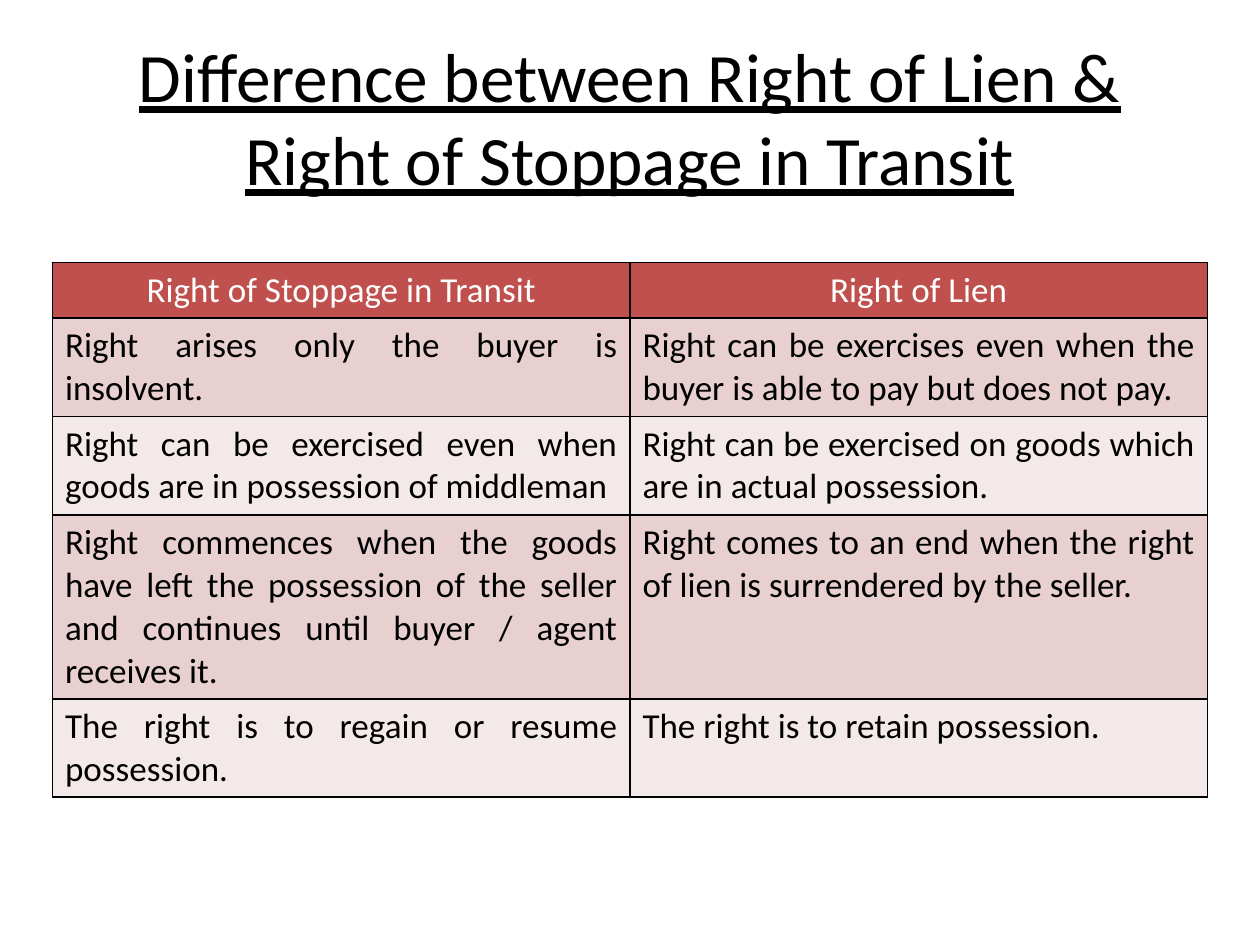
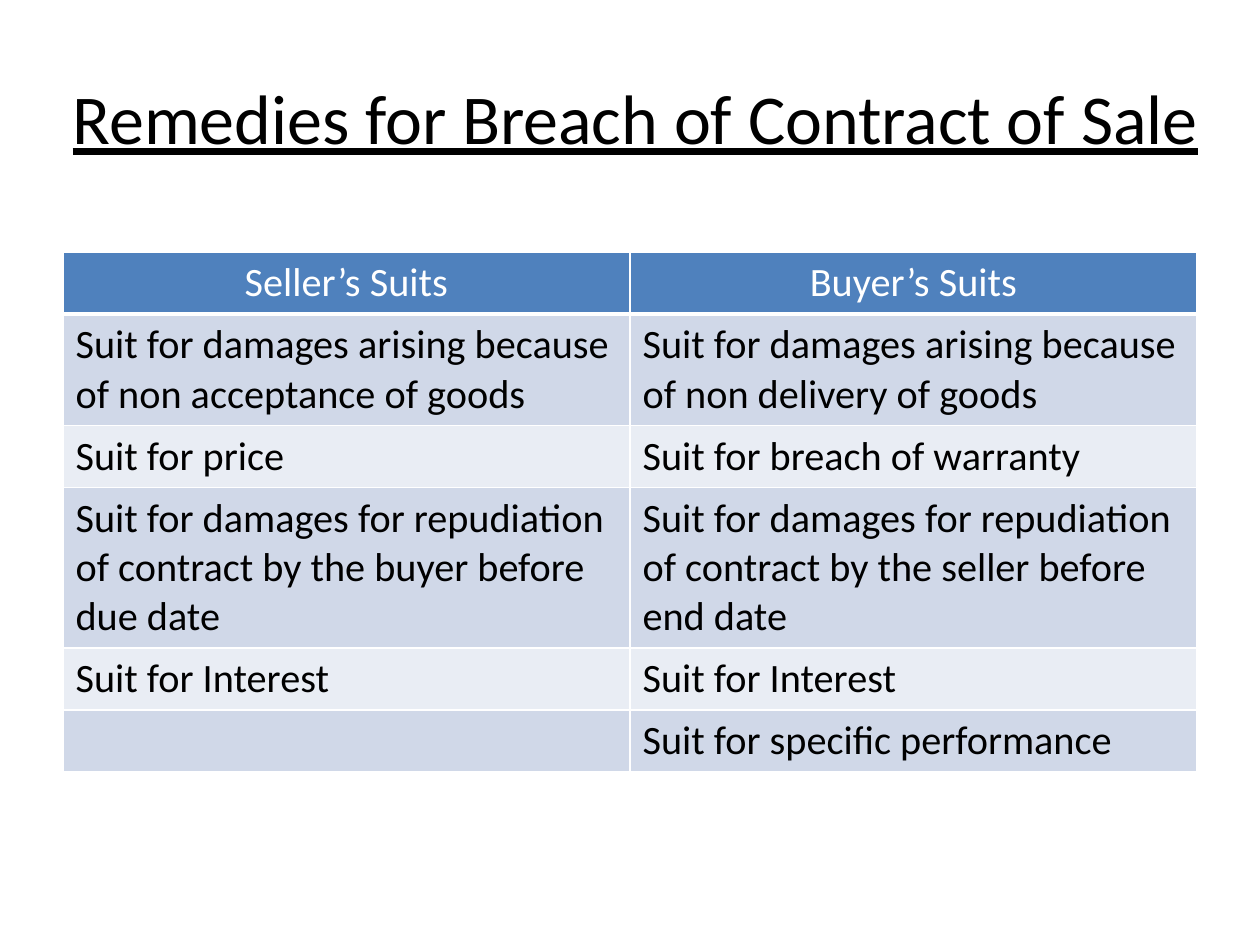
from dataclasses import dataclass

from lxml.etree import SubElement
from pptx import Presentation
from pptx.dml.color import RGBColor
from pptx.enum.text import MSO_ANCHOR, MSO_AUTO_SIZE, PP_ALIGN
from pptx.oxml.ns import qn
from pptx.presentation import Presentation as Deck
from pptx.slide import Slide
from pptx.table import _Cell as Cell
from pptx.text.text import TextFrame
from pptx.util import Pt

FONT = "Calibri"
BLACK, WHITE = "000000", "FFFFFF"
TITLE_TOP, TITLE_HEIGHT = 21.6, 90
ROW_HEIGHT = 29.5


@dataclass(frozen=True)
class TableTheme:
    """Colours and text format of a banded table."""
    header: str
    bands: tuple[str, str]
    border: str
    text_size: float
    body_align: PP_ALIGN
    header_rule: float = 1


@dataclass(frozen=True)
class ComparisonPage:
    """A title above a two-column table; lengths are in points."""
    title: str
    title_size: float
    title_left: float
    title_width: float
    table_left: float
    table_top: float
    table_width: float
    table_height: float
    theme: TableTheme
    rows: tuple[tuple[str, str], ...]


RED = TableTheme("C0504D", ("E8D0D0", "F4E9E9"), BLACK, 20, PP_ALIGN.JUSTIFY)
BLUE = TableTheme("4F81BD", ("D0D8E8", "E9EDF4"), WHITE, 23, PP_ALIGN.LEFT, 3)

PAGES = (
    ComparisonPage(
        "Difference between Right of Lien & Right of Stoppage in Transit",
        39.6, 36, 648, 30, 150, 660, 348, RED,
        (
            ("Right of Stoppage in Transit", "Right of Lien"),
            ("Right arises only the buyer is insolvent.",
             "Right can be exercises even when the buyer is able to pay but does not pay."),
            ("Right can be exercised even when goods are in possession of middleman",
             "Right can be exercised on goods which are in actual possession."),
            ("Right commences when the goods have left the possession of the seller "
             "and continues until buyer / agent receives it.",
             "Right comes to an end when the right of lien is surrendered by the seller."),
            ("The right is to regain or resume possession.",
             "The right is to retain possession."),
        ),
    ),
    ComparisonPage(
        "Remedies for Breach of Contract of Sale",
        40, 24, 678, 36, 144, 648, 347, BLUE,
        (
            ("Seller’s Suits", "Buyer’s Suits"),
            ("Suit for damages arising because of non acceptance of goods",
             "Suit for damages arising because of non delivery of goods"),
            ("Suit for price", "Suit for breach of warranty"),
            ("Suit for damages for repudiation of contract by the buyer before due date",
             "Suit for damages for repudiation of contract by the seller before end date"),
            ("Suit for Interest", "Suit for Interest"),
            ("", "Suit for specific performance"),
        ),
    ),
)


def color(value: str) -> RGBColor:
    """Turn a hex string into a colour."""
    return RGBColor.from_string(value)


def write(frame: TextFrame, text: str, *, size: float, ink: str = BLACK,
          align: PP_ALIGN = PP_ALIGN.LEFT, underline: bool = False) -> None:
    """Fill a text frame with one formatted paragraph."""
    para = frame.paragraphs[0]
    para.alignment = align
    para.font.size = Pt(size)
    if text:
        span = para.add_run()
        span.text = text
        span.font.name = FONT
        span.font.size = Pt(size)
        span.font.bold = False
        span.font.underline = underline
        span.font.color.rgb = color(ink)


def draw_borders(cell: Cell, ink: str, bottom: float) -> None:
    """Draw the four borders of a cell, one point wide except the bottom."""
    properties = cell._tc.get_or_add_tcPr()
    for side, width in (("L", 1), ("R", 1), ("T", 1), ("B", bottom)):
        line = SubElement(properties, qn(f"a:ln{side}"), w=str(Pt(width)))
        SubElement(SubElement(line, qn("a:solidFill")), qn("a:srgbClr"), val=ink)


def draw_title(page: Slide, content: ComparisonPage) -> None:
    """Place and format the underlined title."""
    box = page.shapes.title
    box.left, box.top = Pt(content.title_left), Pt(TITLE_TOP)
    box.width, box.height = Pt(content.title_width), Pt(TITLE_HEIGHT)
    box.text_frame.auto_size = MSO_AUTO_SIZE.NONE
    box.text_frame.word_wrap = True
    box.text_frame.vertical_anchor = MSO_ANCHOR.MIDDLE
    write(box.text_frame, content.title, size=content.title_size,
          align=PP_ALIGN.CENTER, underline=True)


def draw_table(page: Slide, content: ComparisonPage) -> None:
    """Draw the table with a header row and alternating bands."""
    theme = content.theme
    row_count = len(content.rows)
    box = page.shapes.add_table(
        row_count, 2, Pt(content.table_left), Pt(content.table_top),
        Pt(content.table_width), Pt(ROW_HEIGHT * row_count))
    box.height = Pt(content.table_height)
    for row, texts in enumerate(content.rows):
        is_header = row == 0
        fill = theme.header if is_header else theme.bands[(row - 1) % 2]
        for column, text in enumerate(texts):
            cell = box.table.cell(row, column)
            draw_borders(cell, theme.border, theme.header_rule if is_header else 1)
            cell.fill.solid()
            cell.fill.fore_color.rgb = color(fill)
            write(cell.text_frame, text, size=theme.text_size,
                  ink=WHITE if is_header else BLACK,
                  align=PP_ALIGN.CENTER if is_header else theme.body_align)


def add_page(deck: Deck, content: ComparisonPage) -> None:
    """Add one comparison slide."""
    page = deck.slides.add_slide(deck.slide_layouts.get_by_name("Title Only"))
    draw_title(page, content)
    draw_table(page, content)


def main() -> None:
    """Build and save the deck."""
    deck = Presentation()
    deck.slide_width, deck.slide_height = Pt(720), Pt(540)
    for content in PAGES:
        add_page(deck, content)
    deck.save("out.pptx")


if __name__ == "__main__":
    main()
